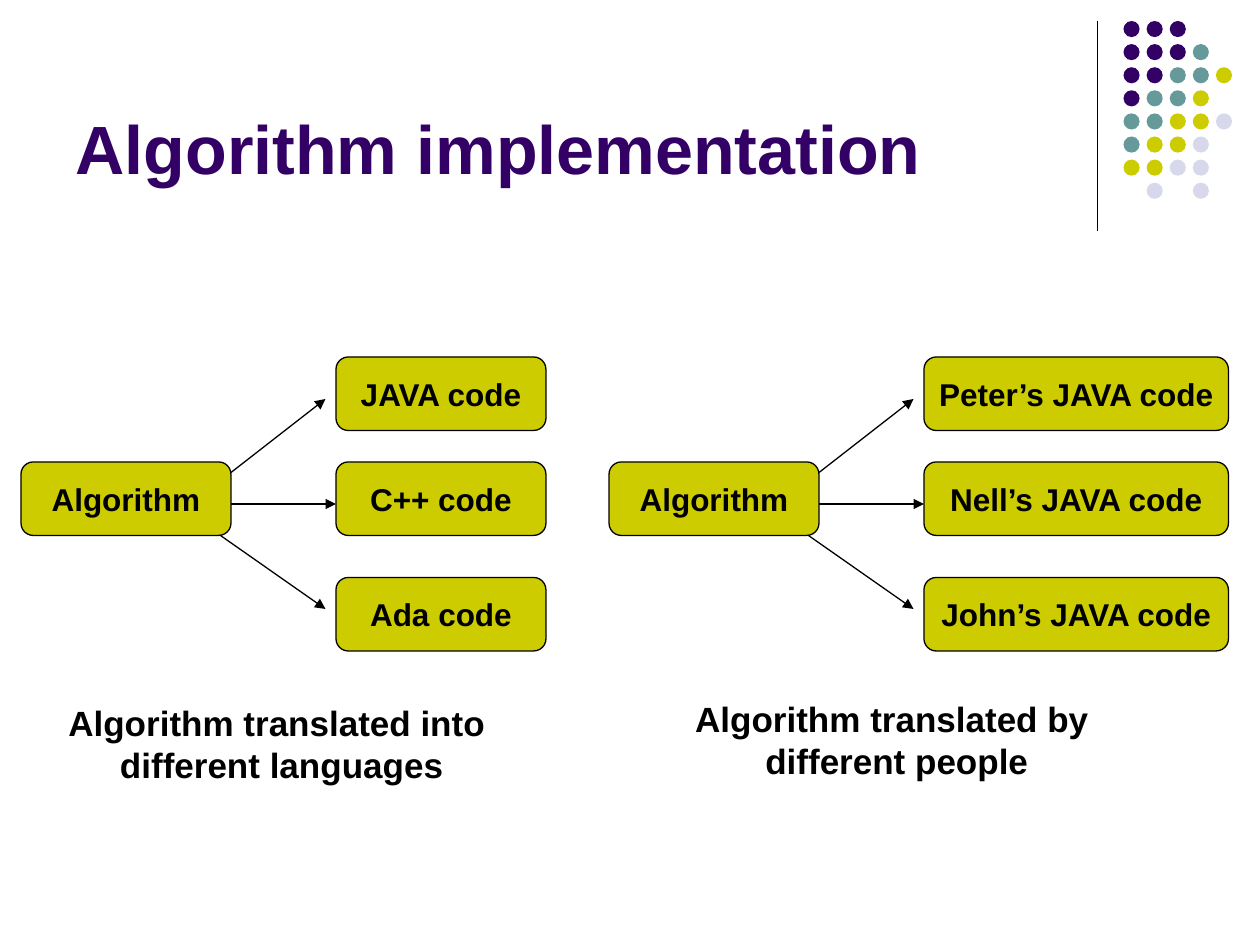
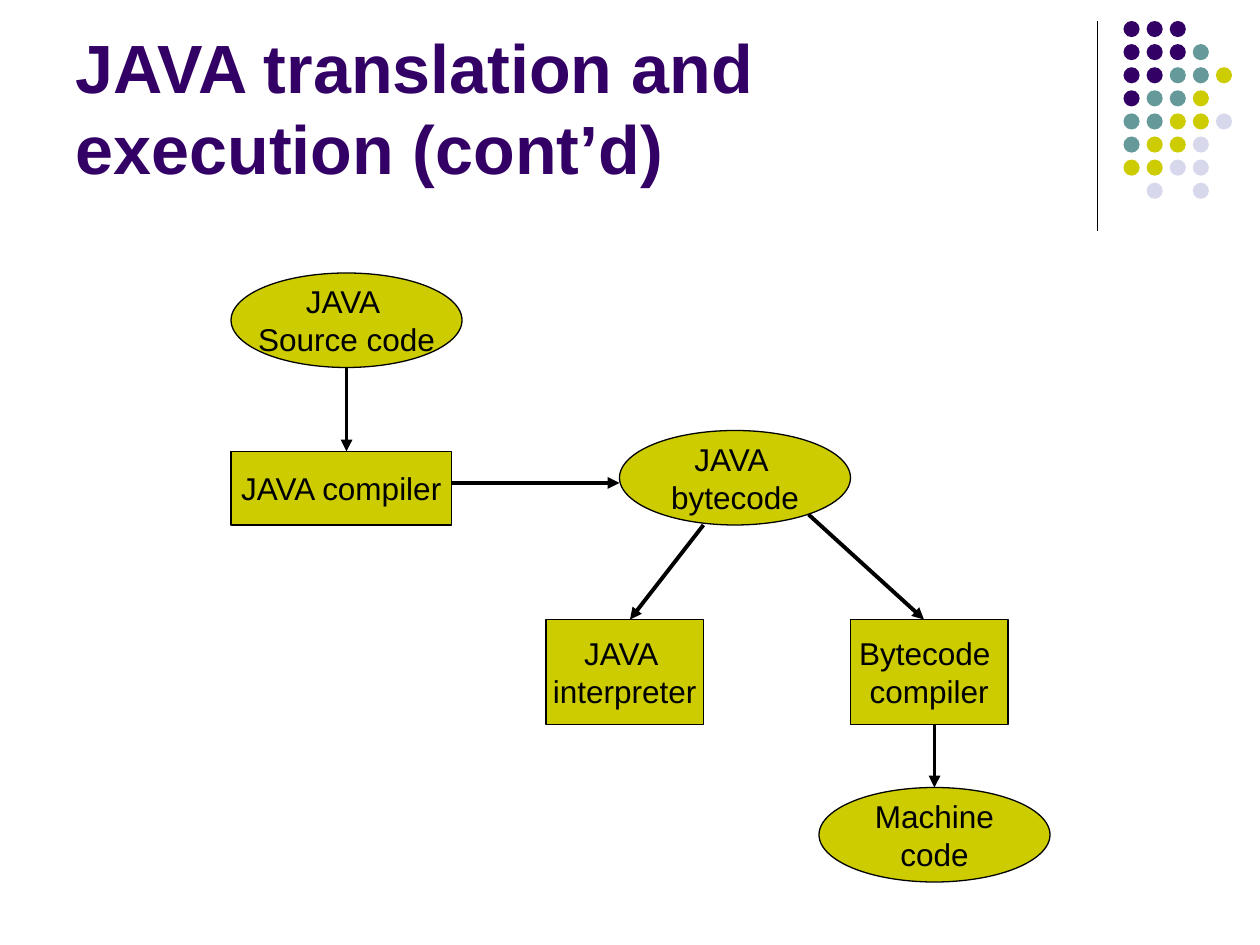
from pptx import Presentation
from pptx.dml.color import RGBColor
from pptx.enum.shapes import MSO_CONNECTOR, MSO_SHAPE
from pptx.enum.text import MSO_ANCHOR as Anchor, MSO_AUTO_SIZE as AutoSize, PP_ALIGN as Align
from pptx.oxml.ns import qn
from pptx.util import Pt
from lxml.etree import SubElement

FONT = "Arial"
COLORS = {
    "purple": "330066",
    "teal": "669999",
    "olive": "CCCC00",
    "mist": "D8D8EC",
    "ink": "000000",
}
DOT_COLORS = {"P": "purple", "T": "teal", "O": "olive", "M": "mist"}
DOT_ROWS = ["PPP", "PPPT", "PPTTO", "PTTO", "TTOOM", "TOOM", "OOMM", " M M"]
DOT_PITCH, DOT_SIZE = 13.2, 9.2

TITLE_BOX = (36, 9.4, 594, 102)
NODE_H = 42
ELLIPSE_SIZE = (132, 54)
STAGE_SIZE = (90, 60)


def rgb(name):
    return RGBColor.from_string(COLORS[name])


def place(shape, left, top, width, height):
    shape.left, shape.top = Pt(left), Pt(top)
    shape.width, shape.height = Pt(width), Pt(height)


def write(shape, text, size=18, bold=False, color="ink", align=Align.CENTER,
          anchor=Anchor.MIDDLE, wrap=False):
    """Fill a shape with text, one paragraph a line."""
    frame = shape.text_frame
    frame.text = text
    frame.auto_size = AutoSize.NONE
    frame.word_wrap = wrap
    frame.vertical_anchor = anchor
    for paragraph in frame.paragraphs:
        paragraph.alignment = align
        font = paragraph.runs[0].font
        font.name, font.size, font.bold = FONT, Pt(size), bold
        font.color.rgb = rgb(color)


def add_filled(slide, kind, box, color, outlined=False):
    shape = slide.shapes.add_shape(kind, *map(Pt, box))
    shape.shadow.inherit = False
    shape.fill.solid()
    shape.fill.fore_color.rgb = rgb(color)
    if outlined:
        shape.line.color.rgb = rgb("ink")
        shape.line.width = Pt(0.75)
    else:
        shape.line.fill.background()
    return shape


def add_node(slide, kind, box, text, bold=False):
    write(add_filled(slide, kind, box, "olive", outlined=True), text, bold=bold)


def add_line(slide, start, end, width=0.75, arrow=True):
    line = slide.shapes.add_connector(MSO_CONNECTOR.STRAIGHT, *map(Pt, start + end))
    line.line.color.rgb = rgb("ink")
    line.line.width = Pt(width)
    if arrow:
        SubElement(line.line._get_or_add_ln(), qn("a:tailEnd"), type="triangle")
    SubElement(line._element.spPr, qn("a:effectLst"))


def add_corner(slide, left, top):
    """Vertical rule and the dot pattern to its right."""
    add_line(slide, (left, top), (left, top + 120), arrow=False)
    for row, dots in enumerate(DOT_ROWS):
        for col, dot in enumerate(dots):
            if dot in DOT_COLORS:
                box = (left + 15 + col * DOT_PITCH, top + row * DOT_PITCH, DOT_SIZE, DOT_SIZE)
                add_filled(slide, MSO_SHAPE.OVAL, box, DOT_COLORS[dot])


def add_titled_slide(deck, title):
    slide = deck.slides.add_slide(deck.slide_layouts[5])
    place(slide.shapes.title, *TITLE_BOX)
    write(slide.shapes.title, title, size=39, bold=True, color="purple",
          align=Align.LEFT, anchor=Anchor.BOTTOM, wrap=True)
    add_corner(slide, 627, 12)
    return slide


def add_translation(slide, left, top, code_width, codes, caption, caption_box):
    """One algorithm fanning out to three programs, with a caption below."""
    add_node(slide, MSO_SHAPE.ROUNDED_RECTANGLE, (left, top + 60, 120, NODE_H),
             "Algorithm", bold=True)

    # Arrows
    for x1, y1, x2, y2 in [(120, 66, 174, 24), (120, 84, 180, 84), (114, 102, 174, 144)]:
        add_line(slide, (left + x1, top + y1), (left + x2, top + y2))

    # Programs
    for code, offset in zip(codes, (0, 60, 126)):
        add_node(slide, MSO_SHAPE.ROUNDED_RECTANGLE,
                 (left + 180, top + offset, code_width, NODE_H), code, bold=True)

    # Caption
    x, y, width, height = caption_box
    caption_text = slide.shapes.add_textbox(Pt(left + x), Pt(top + y), Pt(width), Pt(height))
    write(caption_text, caption, size=20, bold=True, anchor=Anchor.TOP)


def add_pipeline(slide, left, top):
    """Path from the source code to the machine code."""
    oval, rect = MSO_SHAPE.OVAL, MSO_SHAPE.RECTANGLE
    steps = [
        (oval, (0, 0), ELLIPSE_SIZE, "JAVA \nSource code"),
        (rect, (0, 102), (126, NODE_H), "JAVA compiler"),
        (oval, (222, 90), ELLIPSE_SIZE, "JAVA \nbytecode"),
        (rect, (180, 198), STAGE_SIZE, "JAVA \ninterpreter"),
        (rect, (354, 198), STAGE_SIZE, "Bytecode \ncompiler"),
        (oval, (336, 294), ELLIPSE_SIZE, "Machine\ncode"),
    ]
    for kind, (x, y), size, text in steps:
        add_node(slide, kind, (left + x, top + y) + size, text)

    # Arrows
    flows = [(66, 54, 66, 102), (126, 120, 222, 120), (270, 144, 228, 198),
             (330, 138, 396, 198), (402, 258, 402, 294)]
    for x1, y1, x2, y2 in flows:
        add_line(slide, (left + x1, top + y1), (left + x2, top + y2), width=2.25)


def main():
    deck = Presentation()
    deck.slide_width, deck.slide_height = Pt(720), Pt(540)

    implementation = add_titled_slide(deck, "Algorithm implementation")
    add_translation(implementation, 12, 204, 120, ["JAVA code", "C++ code", "Ada code"],
                    "Algorithm translated into \ndifferent languages", (20, 193.5, 258, 55.5))
    add_translation(implementation, 348, 204, 174,
                    ["Peter’s JAVA code", "Nell’s JAVA code", "John’s JAVA code"],
                    "Algorithm translated by \ndifferent people", (42, 191.3, 245, 55.5))

    execution = add_titled_slide(deck, "JAVA translation and execution (cont’d)")
    add_pipeline(execution, 132, 156)

    deck.save("out.pptx")


if __name__ == "__main__":
    main()
